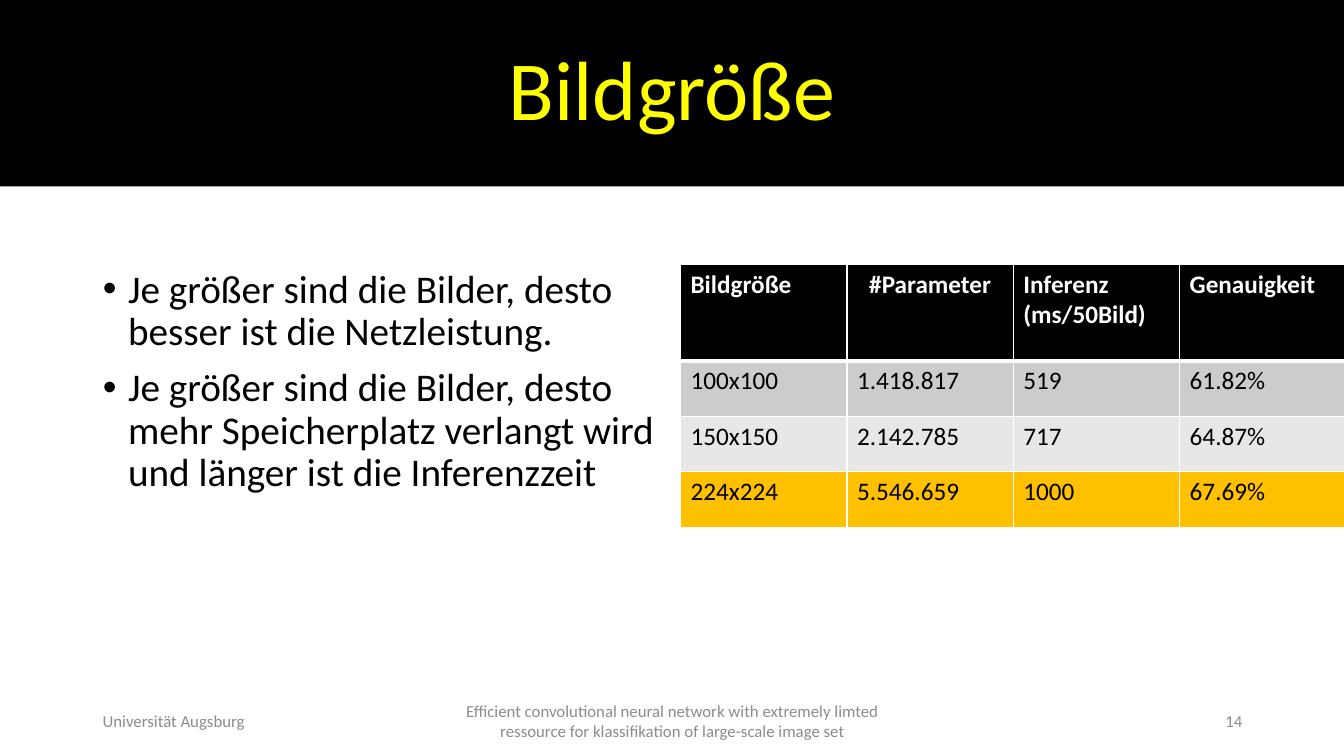
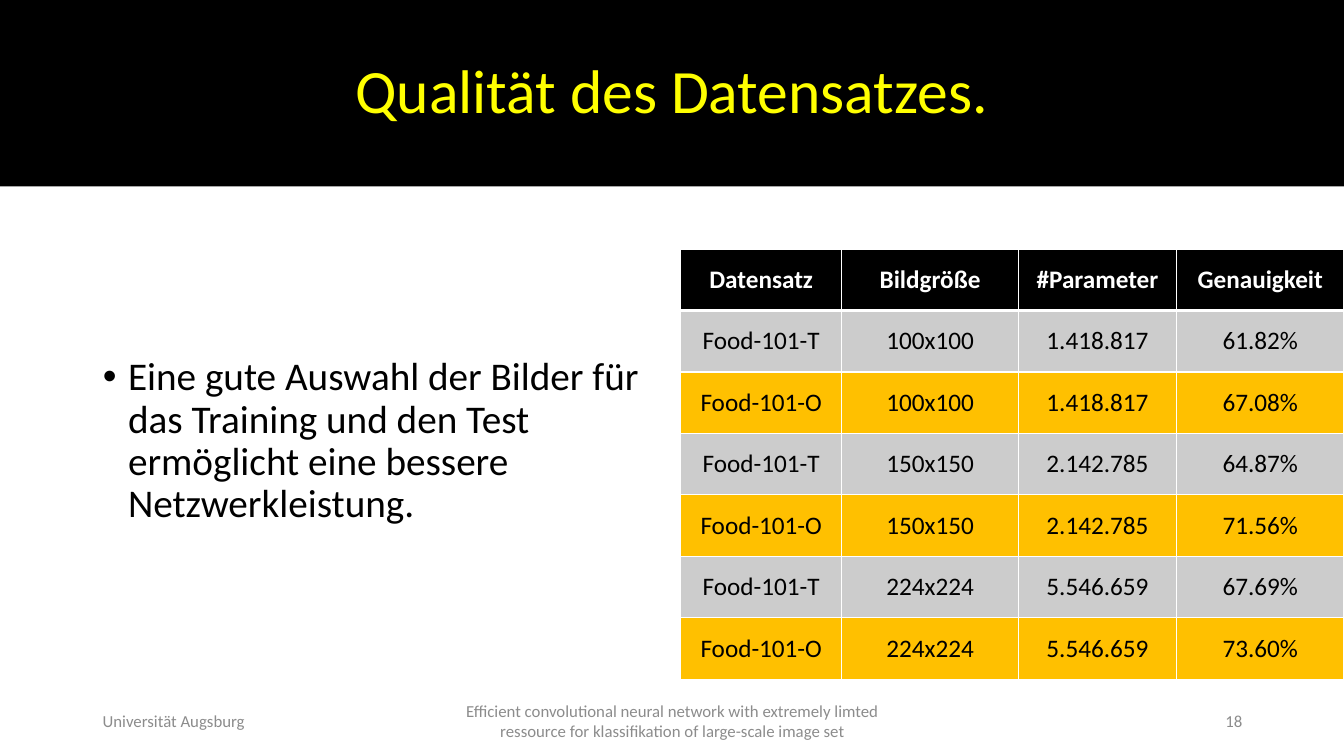
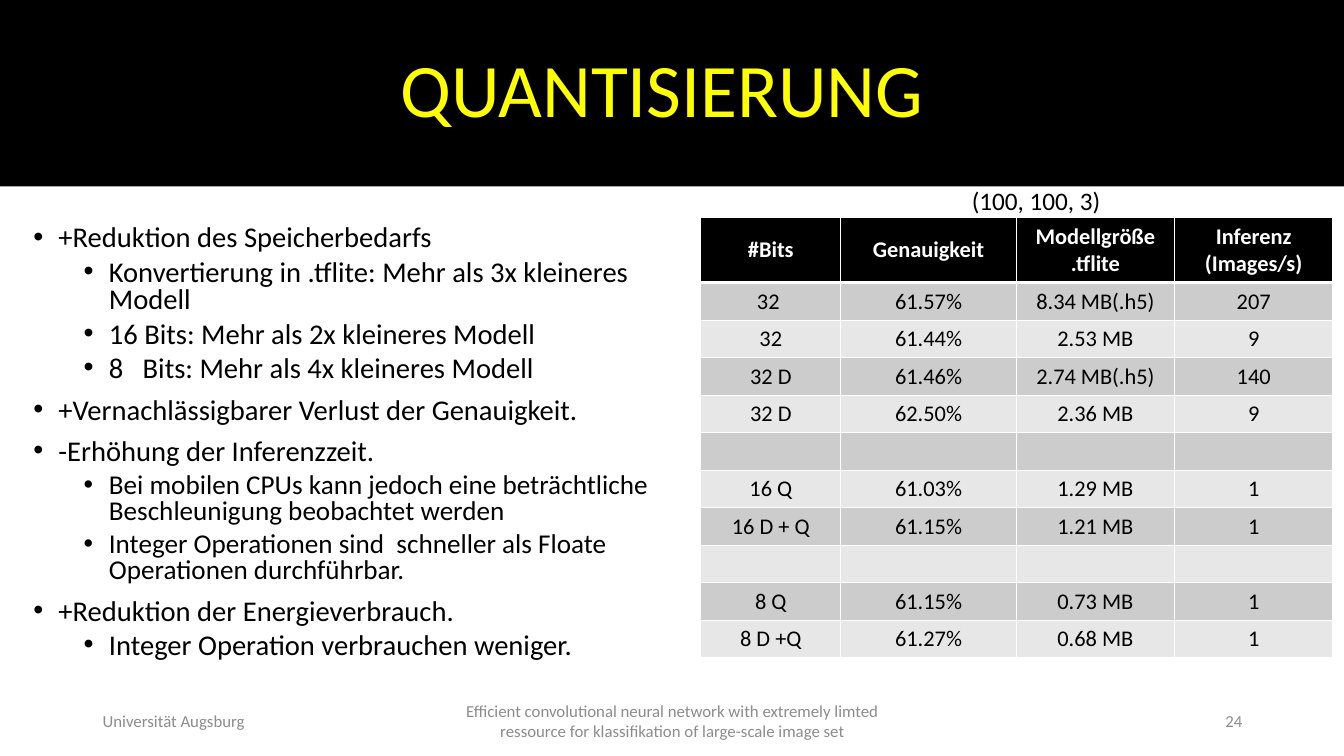
"""Builds three slides on image size, data quality and quantisation."""
from lxml import etree
from pptx import Presentation, util as u
from pptx.dml.color import RGBColor
from pptx.enum import text
from pptx.oxml.ns import qn

COLOURS = {"black": "000000", "white": "FFFFFF", "title": "FFFF00", "footer": "8C8C8C",
           "dark": "CCCCCC", "light": "E7E7E7", "accent": "FFC000"}
FONT = "Calibri"
WIDTH, HEIGHT, BAND = 13.33, 7.5, 1.85
LEFT, CENTER, RIGHT = text.PP_ALIGN.LEFT, text.PP_ALIGN.CENTER, text.PP_ALIGN.RIGHT
TOP, MIDDLE = text.MSO_ANCHOR.TOP, text.MSO_ANCHOR.MIDDLE
FOOTER = "Efficient convolutional neural network with extremely limted ressource for klassifikation of large-scale image set"

SLIDES = [
    {"title": "Bildgröße", "title_size": 60, "number": "14",
     "body": {"at": (0.92, 2.62, 5.67, 4.14), "anchor": TOP, "spacing": 0.9, "items": [
         (0, 28, "Je größer sind die Bilder, desto besser ist die Netzleistung."),
         (0, 28, "Je größer sind die Bilder, desto mehr Speicherplatz verlangt wird und länger ist die Inferenzzeit")]},
     "table": {"at": (6.75, 2.62), "columns": [1.65] * 4, "header": 0.96, "row": 0.55,
               "size": 18, "anchor": TOP, "align": LEFT, "centred": ["#Parameter"],
               "fills": ["dark", "light", "accent"], "rows": [
                   ("Bildgröße", "#Parameter", "Inferenz\n(ms/50Bild)", "Genauigkeit"),
                   ("100x100", "1.418.817", "519", "61.82%"),
                   ("150x150", "2.142.785", "717", "64.87%"),
                   ("224x224", "5.546.659", "1000", "67.69%")]}},
    {"title": "Qualität des Datensatzes.", "title_size": 44, "number": "18",
     "body": {"at": (0.92, 2, 5.67, 4.76), "anchor": MIDDLE, "spacing": 0.9, "items": [
         (0, 28, "Eine gute Auswahl der Bilder für das Training und den Test ermöglicht eine bessere Netzwerkleistung.")]},
     "table": {"at": (6.75, 2.47), "columns": [1.6, 1.75, 1.57, 1.66], "header": 0.61, "row": 0.61,
               "size": 18, "anchor": MIDDLE, "align": CENTER,
               "fills": ["dark", "accent"], "rows": [
                   ("Datensatz", "Bildgröße", "#Parameter", "Genauigkeit"),
                   ("Food-101-T", "100x100", "1.418.817", "61.82%"),
                   ("Food-101-O", "100x100", "1.418.817", "67.08%"),
                   ("Food-101-T", "150x150", "2.142.785", "64.87%"),
                   ("Food-101-O", "150x150", "2.142.785", "71.56%"),
                   ("Food-101-T", "224x224", "5.546.659", "67.69%"),
                   ("Food-101-O", "224x224", "5.546.659", "73.60%")]}},
    {"title": "QUANTISIERUNG", "title_size": 54, "title_inset": 0.29, "number": "24",
     "caption": "(100, 100, 3)",
     "body": {"at": (0.23, 2.02, 6.8, 4.76), "anchor": MIDDLE, "spacing": 0.8, "items": [
         (0, 20.4, "+Reduktion des Speicherbedarfs"),
         (1, 20.4, "Konvertierung in .tflite: Mehr als 3x kleineres Modell"),
         (1, 20.4, "16 Bits: Mehr als 2x kleineres Modell"),
         (1, 20.4, "8   Bits: Mehr als 4x kleineres Modell"),
         (0, 20.4, "+Vernachlässigbarer Verlust der Genauigkeit."),
         (0, 20.4, "-Erhöhung der Inferenzzeit."),
         (1, 19.4, "Bei mobilen CPUs kann jedoch eine beträchtliche Beschleunigung beobachtet werden"),
         (1, 19.4, "Integer Operationen sind  schneller als Floate Operationen durchführbar."),
         (0, 20.4, "+Reduktion der Energieverbrauch."),
         (1, 20.4, "Integer Operation verbrauchen weniger.")]},
     "table": {"at": (6.95, 2.16), "columns": [1.39, 1.74, 1.57, 1.57], "header": 0.63, "row": 0.37,
               "size": 16, "anchor": MIDDLE, "align": CENTER,
               "fills": ["dark", "light"], "rows": [
                   ("#Bits", "Genauigkeit", "Modellgröße\n.tflite", "Inferenz\n(Images/s)"),
                   ("32 ", "61.57%", "8.34 MB(.h5)", "207"),
                   ("32", "61.44%", "2.53 MB", "9"),
                   ("32 D", "61.46%", "2.74 MB(.h5)", "140"),
                   ("32 D", "62.50%", "2.36 MB", "9"),
                   ("",) * 4,
                   ("16 Q", "61.03%", "1.29 MB", "1"),
                   ("16 D + Q", "61.15%", "1.21 MB", "1"),
                   ("",) * 4,
                   ("8 Q", "61.15%", "0.73 MB", "1"),
                   ("8 D +Q", "61.27%", "0.68 MB", "1")]}},
]


def colour(name):
    return RGBColor.from_string(COLOURS[name])


def fill(target, name):
    target.fill.solid()
    target.fill.fore_color.rgb = colour(name)


def place(box, at):
    box.left, box.top, box.width, box.height = map(u.Inches, at)


def add_paragraph(frame, index):
    return frame.paragraphs[0] if index == 0 else frame.add_paragraph()


def write(para, words, size, name, align=LEFT, bold=False):
    para.alignment = align
    span = para.add_run()
    span.text = words
    span.font.name, span.font.size, span.font.bold = FONT, u.Pt(size), bold
    span.font.color.rgb = colour(name)


def add_title(page, slide):
    box = page.shapes.title
    place(box, (0, 0, WIDTH, BAND))
    fill(box, "black")
    frame = box.text_frame
    frame.vertical_anchor, frame.auto_size = MIDDLE, text.MSO_AUTO_SIZE.NONE
    frame.margin_right = u.Inches(slide.get("title_inset", 0.1))
    para = frame.paragraphs[0]
    para.line_spacing = 0.9
    write(para, slide["title"], slide["title_size"], "title", CENTER)


def add_body(page, body):
    box = page.placeholders[1]
    place(box, body["at"])
    frame = box.text_frame
    frame.vertical_anchor, frame.auto_size = body["anchor"], text.MSO_AUTO_SIZE.NONE
    for index, (level, size, words) in enumerate(body["items"]):
        para = add_paragraph(frame, index)
        para.level, para.line_spacing = level, body["spacing"]
        para.space_before, para.space_after = u.Pt(5 if level else 10), u.Pt(0)
        write(para, words, size, "black")
        properties = para._p.get_or_add_pPr()
        properties.set("marL", str(u.Inches(0.25 + 0.5 * level)))
        properties.set("indent", str(u.Inches(-0.25)))
        etree.SubElement(properties, qn("a:buFont")).set("typeface", "Arial")
        etree.SubElement(properties, qn("a:buChar")).set("char", "•")


def add_borders(cell, widths):
    properties = cell._tc.get_or_add_tcPr()
    for index, (side, width) in enumerate(widths.items()):
        line = etree.Element(qn("a:ln" + side), w=str(u.Pt(width)))
        paint = etree.SubElement(line, qn("a:solidFill"))
        etree.SubElement(paint, qn("a:srgbClr")).set("val", COLOURS["white"])
        properties.insert(index, line)


def add_table(page, data):
    rows, columns = data["rows"], data["columns"]
    heights = [data["header"]] + [data["row"]] * (len(rows) - 1)
    area = (*data["at"], sum(columns), sum(heights))
    table = page.shapes.add_table(len(rows), len(columns), *map(u.Inches, area)).table
    for column, width in zip(table.columns, columns):
        column.width = u.Inches(width)
    for number, (values, height) in enumerate(zip(rows, heights)):
        table.rows[number].height = u.Inches(height)
        header = number == 0
        fills = data["fills"]
        shade = "black" if header else fills[(number - 1) % len(fills)]
        for position, value in enumerate(values):
            cell = table.cell(number, position)
            cell.vertical_anchor = data["anchor"]
            fill(cell, shade)
            add_borders(cell, {"L": 1, "R": 1, "T": 3 if number == 1 else 1, "B": 3 if header else 1})
            align = CENTER if value in data.get("centred", []) else data["align"]
            for index, words in enumerate(value.split("\n")):
                para = add_paragraph(cell.text_frame, index)
                if words:
                    write(para, words, data["size"], "white" if header else "black", align, header)
                else:
                    etree.SubElement(para._p, qn("a:endParaRPr")).set("sz", str(data["size"] * 100))


def add_label(page, at, words, size, name, align=LEFT, anchor=MIDDLE, wrap=True):
    frame = page.shapes.add_textbox(*map(u.Inches, at)).text_frame
    frame.word_wrap, frame.vertical_anchor = wrap, anchor
    write(frame.paragraphs[0], words, size, name, align)


def add_footer(page, number):
    for left, width, words, align in ((0.92, 3, "Universität Augsburg", LEFT),
                                      (4.42, 4.5, FOOTER, CENTER), (9.42, 3, number, RIGHT)):
        add_label(page, (left, 6.95, width, 0.4), words, 12, "footer", align)


def main():
    deck = Presentation()
    deck.slide_width, deck.slide_height = u.Inches(WIDTH), u.Inches(HEIGHT)
    for slide in SLIDES:
        page = deck.slides.add_slide(deck.slide_layouts[1])
        add_title(page, slide)
        add_body(page, slide["body"])
        add_table(page, slide["table"])
        add_footer(page, slide["number"])
        if "caption" in slide:
            add_label(page, (9.54, 1.79, 1.49, 0.4), slide["caption"], 18, "black", anchor=TOP, wrap=False)
    deck.save("out.pptx")


if __name__ == "__main__":
    main()
